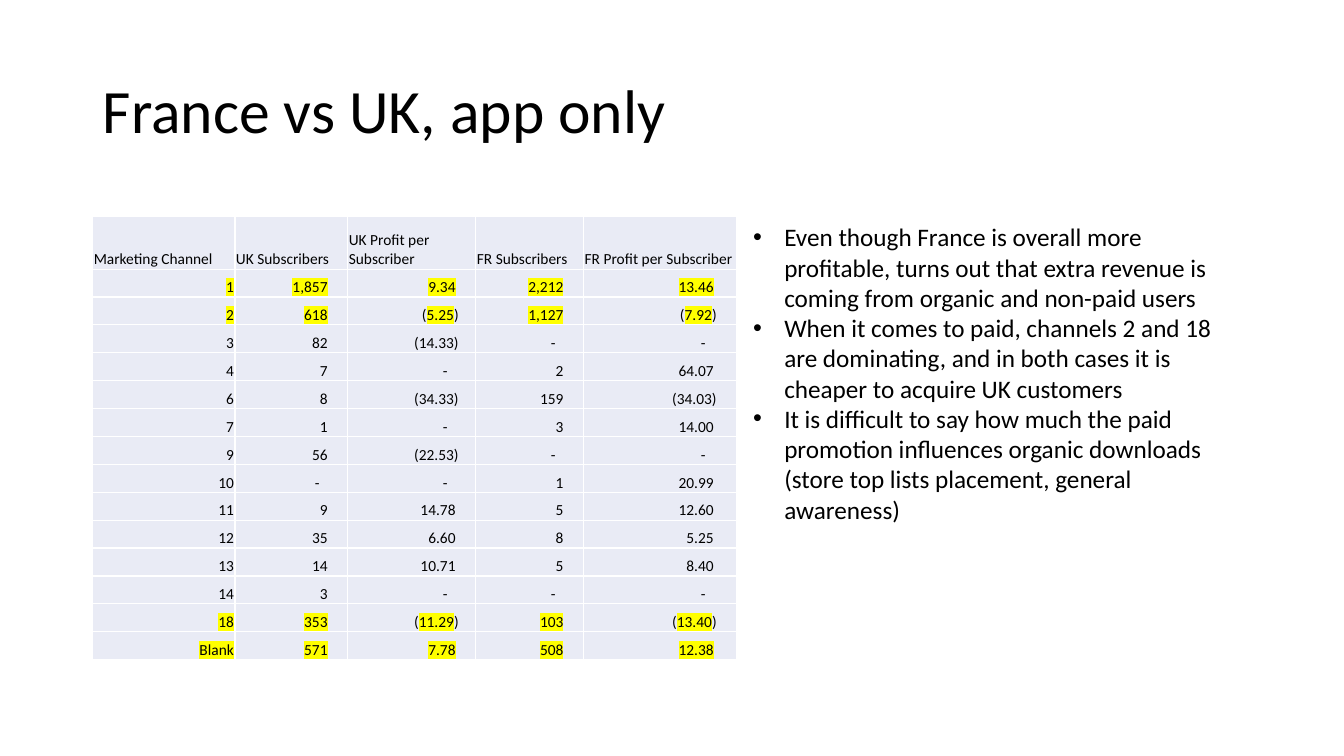
from lxml.etree import SubElement
from pptx import Presentation
from pptx.dml.color import RGBColor
from pptx.enum.text import MSO_ANCHOR, MSO_AUTO_SIZE, PP_ALIGN
from pptx.oxml.ns import qn
from pptx.util import Inches, Pt

COLORS = {"text": "000000", "cell": "E9EBF5", "highlight": "FFFF00"}
FONT = "Calibri"
COLUMN_WIDTHS = [1.41, 1.12, 1.27, 1.07, 1.52]
NUMBER_MARGINS = [0.01, 0.2, 0.2, 0.2, 0.23]
TABLE_HEIGHT = 4.4
HEADER_HEIGHT = 0.52
HEADERS = ["Marketing Channel", "UK Subscribers", "UK Profit per Subscriber",
           "FR Subscribers", "FR Profit per Subscriber"]
CHANNELS = [
    ["1", "1,857", "9.34", "2,212", "13.46"],
    ["2", "618", "(5.25)", "1,127", "(7.92)"],
    ["3", "82", "(14.33)", "-", "-"],
    ["4", "7", "-", "2", "64.07"],
    ["6", "8", "(34.33)", "159", "(34.03)"],
    ["7", "1", "-", "3", "14.00"],
    ["9", "56", "(22.53)", "-", "-"],
    ["10", "-", "-", "1", "20.99"],
    ["11", "9", "14.78", "5", "12.60"],
    ["12", "35", "6.60", "8", "5.25"],
    ["13", "14", "10.71", "5", "8.40"],
    ["14", "3", "-", "-", "-"],
    ["18", "353", "(11.29)", "103", "(13.40)"],
    ["Blank", "571", "7.78", "508", "12.38"],
]
HIGHLIGHTED_CHANNELS = {"1", "2", "18", "Blank"}
FINDINGS = [
    "Even though France is overall more profitable, turns out that extra "
    "revenue is coming from organic and non-paid users",
    "When it comes to paid, channels 2 and 18 are dominating, and in both "
    "cases it is cheaper to acquire UK customers",
    "It is difficult to say how much the paid promotion influences organic "
    "downloads (store top lists placement, general awareness)",
]


def style_paragraph(paragraph, size, align=PP_ALIGN.LEFT):
    paragraph.alignment = align
    paragraph.font.name = FONT
    paragraph.font.size = Pt(size)
    paragraph.font.color.rgb = RGBColor.from_string(COLORS["text"])


def add_span(paragraph, text, highlighted=False):
    span = paragraph.add_run()
    span.text = text
    if highlighted:
        properties = span._r.get_or_add_rPr()
        highlight = SubElement(properties, qn("a:highlight"))
        SubElement(highlight, qn("a:srgbClr"), val=COLORS["highlight"])


def add_title(page, text):
    title = page.shapes.title
    title.left, title.top = Inches(0.92), Inches(0.4)
    title.width, title.height = Inches(11.5), Inches(1.45)
    title.text_frame.vertical_anchor = MSO_ANCHOR.MIDDLE
    paragraph = title.text_frame.paragraphs[0]
    paragraph.line_spacing = 0.9
    style_paragraph(paragraph, 44)
    add_span(paragraph, text)


def format_cell(cell):
    cell.fill.solid()
    cell.fill.fore_color.rgb = RGBColor.from_string(COLORS["cell"])
    cell.vertical_anchor = MSO_ANCHOR.BOTTOM
    cell.margin_left = cell.margin_right = cell.margin_top = Inches(0.01)
    cell.margin_bottom = 0


def fill_header(cell, text):
    format_cell(cell)
    paragraph = cell.text_frame.paragraphs[0]
    style_paragraph(paragraph, 11)
    add_span(paragraph, text)


def fill_number(cell, text, margin, highlighted):
    format_cell(cell)
    negative = text.startswith("(")
    shift = 0.08 if text == "-" else -0.03 if negative else 0
    cell.margin_right = Inches(margin + shift)
    paragraph = cell.text_frame.paragraphs[0]
    style_paragraph(paragraph, 11, PP_ALIGN.RIGHT)
    if highlighted and negative:
        add_span(paragraph, "(")
        add_span(paragraph, text.strip("()"), True)
        add_span(paragraph, ")")
    else:
        add_span(paragraph, text, highlighted)


def add_channel_table(page):
    frame = page.shapes.add_table(
        len(CHANNELS) + 1, len(HEADERS), Inches(0.92), Inches(2.15),
        Inches(sum(COLUMN_WIDTHS)), Inches(TABLE_HEIGHT))
    table = frame.table
    table.first_row = table.horz_banding = False
    for column, width in zip(table.columns, COLUMN_WIDTHS):
        column.width = Inches(width)
    for row in table.rows:
        row.height = Inches((TABLE_HEIGHT - HEADER_HEIGHT) / len(CHANNELS))
    table.rows[0].height = Inches(HEADER_HEIGHT)
    for column, text in enumerate(HEADERS):
        fill_header(table.cell(0, column), text)
    for row, values in enumerate(CHANNELS, 1):
        highlighted = values[0] in HIGHLIGHTED_CHANNELS
        for column, text in enumerate(values):
            fill_number(table.cell(row, column), text,
                        NUMBER_MARGINS[column], highlighted)


def add_bullet(paragraph):
    properties = paragraph._p.get_or_add_pPr()
    properties.set("marL", str(Inches(0.31)))
    properties.set("indent", str(-Inches(0.31)))
    SubElement(properties, qn("a:buFont"), typeface="Arial")
    SubElement(properties, qn("a:buChar"), char="•")


def add_findings(page):
    box = page.shapes.add_textbox(
        Inches(7.37), Inches(2.15), Inches(5.05), Inches(3.43))
    frame = box.text_frame
    frame.word_wrap = True
    frame.auto_size = MSO_AUTO_SIZE.SHAPE_TO_FIT_TEXT
    for index, text in enumerate(FINDINGS):
        paragraph = frame.add_paragraph() if index else frame.paragraphs[0]
        add_bullet(paragraph)
        style_paragraph(paragraph, 18)
        add_span(paragraph, text)


def main():
    deck = Presentation()
    deck.slide_width, deck.slide_height = Inches(13.33), Inches(7.5)
    page = deck.slides.add_slide(deck.slide_layouts.get_by_name("Title Only"))
    add_title(page, "France vs UK, app only")
    add_channel_table(page)
    add_findings(page)
    deck.save("out.pptx")


main()
